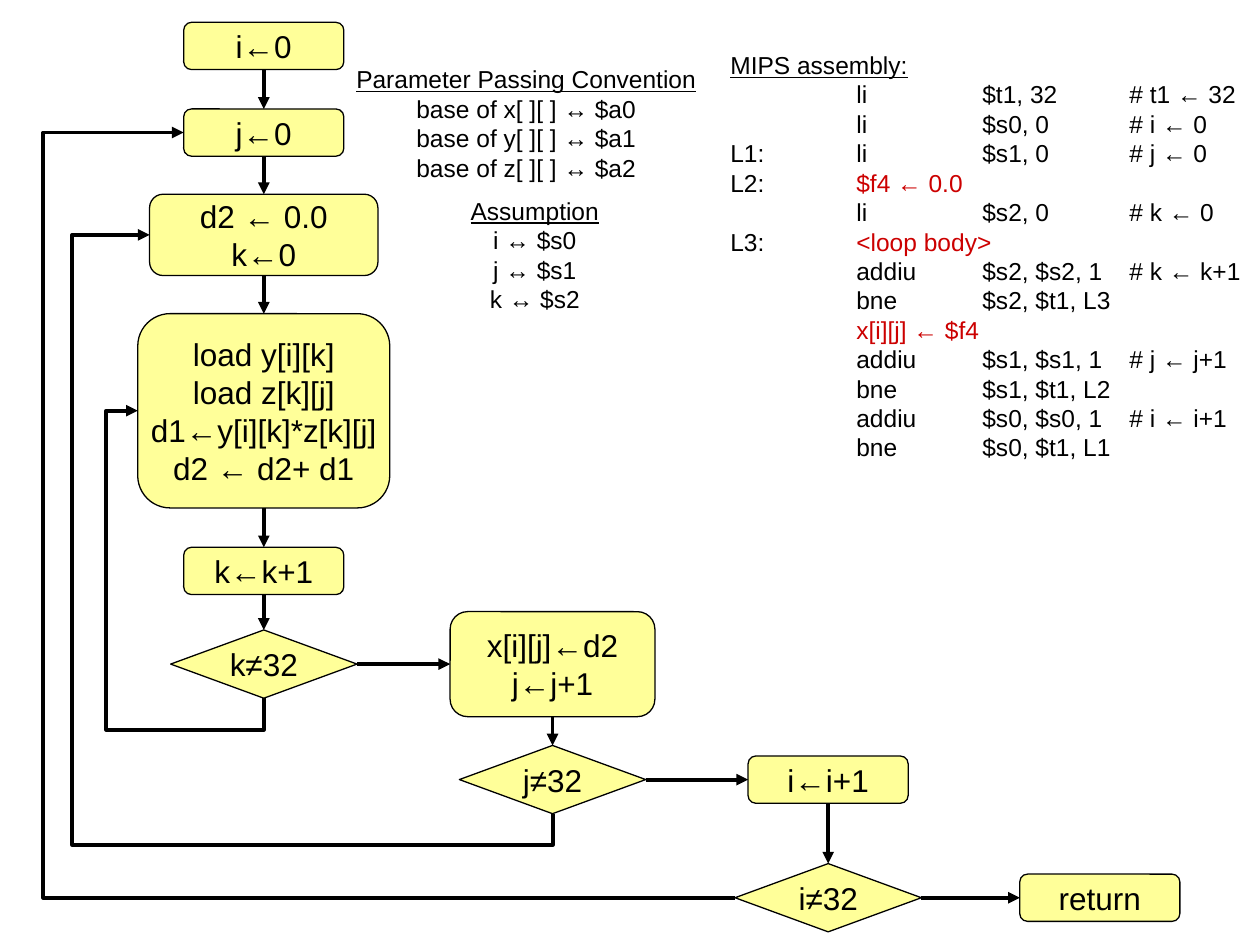
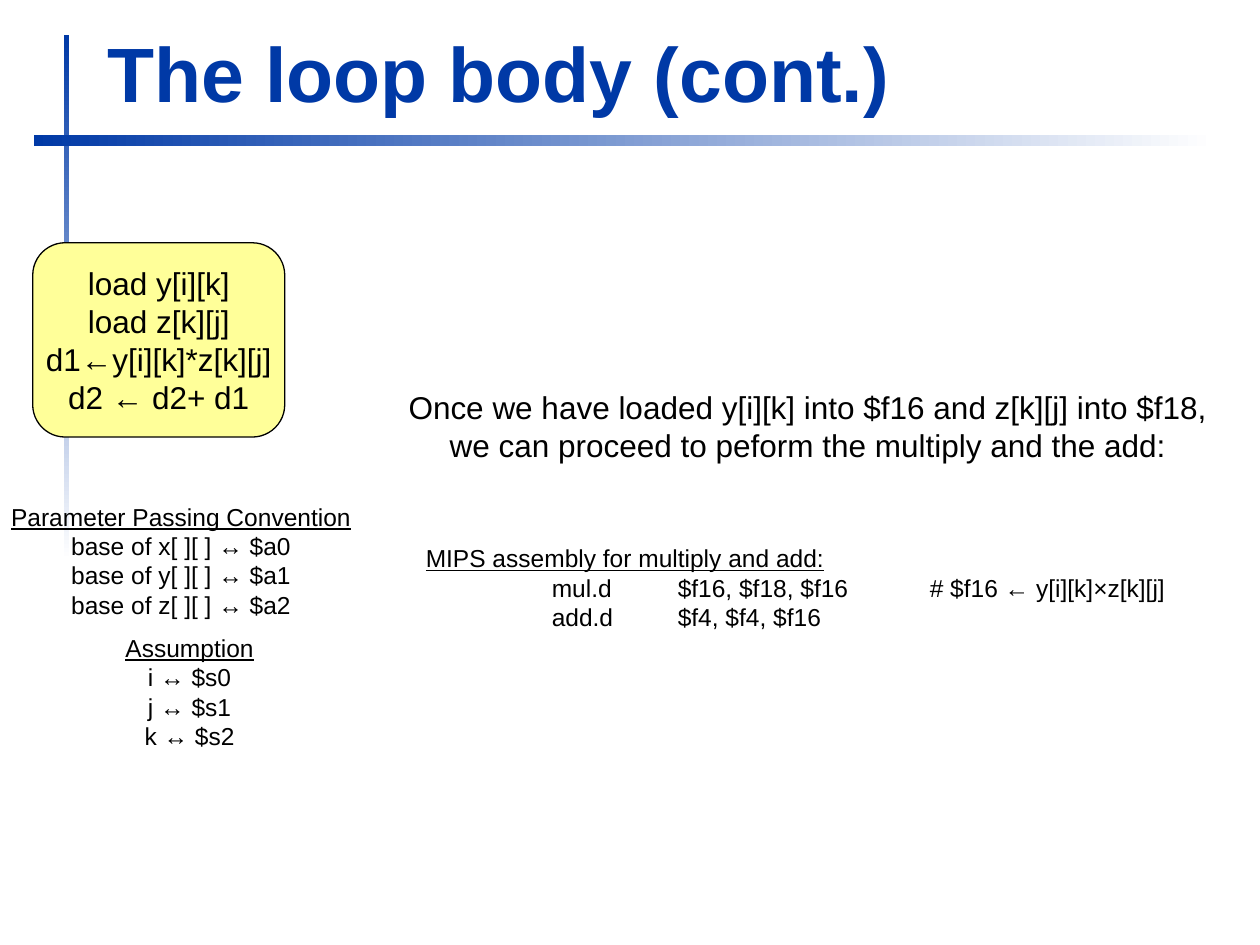
from lxml import etree
from pptx import Presentation
from pptx.dml.color import RGBColor
from pptx.enum.dml import MSO_FILL
from pptx.enum.shapes import MSO_CONNECTOR, MSO_SHAPE
from pptx.enum.text import MSO_ANCHOR, MSO_AUTO_SIZE, PP_ALIGN
from pptx.oxml.ns import qn
from pptx.util import Pt

PX = 9525  # EMU in one px, 96 px to the inch
STEP, TEST = MSO_SHAPE.ROUNDED_RECTANGLE, MSO_SHAPE.FLOWCHART_DECISION
BAR = MSO_SHAPE.RECTANGLE
STRAIGHT, ELBOW = MSO_CONNECTOR.STRAIGHT, MSO_CONNECTOR.ELBOW
LEFT, CENTER = PP_ALIGN.LEFT, PP_ALIGN.CENTER
MIDDLE, BOTTOM = MSO_ANCHOR.MIDDLE, MSO_ANCHOR.BOTTOM
NO_FIT = MSO_AUTO_SIZE.NONE
TOP_SITE, LEFT_SITE, BOTTOM_SITE, RIGHT_SITE = range(4)

FONT = "Arial"
BLACK, WHITE, RED = "000000", "FFFFFF", "CC0000"
YELLOW, BLUE = "FFFF99", "0039A6"
color = RGBColor.from_string


def add_text(slide, box, lines, size, kind=None, fill=None, heading=False, tabs=()):
    """Add a text box, or an outlined shape of the given kind; a line is a string or (text, colour) runs."""
    place = [v * PX for v in box]
    if kind is None:
        shape = slide.shapes.add_textbox(*place)
    else:
        shape = slide.shapes.add_shape(kind, *place)
        shape.shadow.inherit = False
        shape.line.color.rgb = color(BLACK)
        shape.line.width = Pt(0.75)
    if fill:
        shape.fill.solid()
        shape.fill.fore_color.rgb = color(fill)
    frame = shape.text_frame
    frame.word_wrap = bool(tabs)
    frame.auto_size = NO_FIT
    frame.vertical_anchor = MIDDLE
    for number, line in enumerate(lines):
        paragraph = frame.add_paragraph() if number else frame.paragraphs[0]
        paragraph.alignment = LEFT if tabs else CENTER
        if tabs:
            stops = etree.SubElement(paragraph._p.get_or_add_pPr(), qn("a:tabLst"))
            for stop in tabs:
                etree.SubElement(stops, qn("a:tab"), pos=str(stop * PX), algn="l")
        for text, ink in [(line, BLACK)] if isinstance(line, str) else line:
            run = paragraph.add_run()
            run.text = text
            run.font.name = FONT
            run.font.size = Pt(size)
            run.font.color.rgb = color(ink)
            run.font.underline = heading and number == 0
    return shape


def add_arrow(slide, kind, *ends):
    """Add a black connector with an arrowhead at its end."""
    arrow = slide.shapes.add_connector(kind, *[round(v * PX) for v in ends])
    arrow.line.color.rgb = color(BLACK)
    arrow.line.width = Pt(2.25)
    etree.SubElement(arrow.line._get_or_add_ln(), qn("a:tailEnd"), type="triangle")
    etree.SubElement(arrow._element.spPr, qn("a:effectLst"))
    return arrow


prs = Presentation()
prs.slide_width, prs.slide_height = 960 * PX, 720 * PX
flow = prs.slides.add_slide(prs.slide_layouts[6])
body = prs.slides.add_slide(prs.slide_layouts[5])

# Slide 2: title and the two fading rules
for box, angle in (((49, 27, 4, 400), 270), ((26, 103, 900, 8), 0)):
    rule = body.shapes.add_shape(BAR, *[v * PX for v in box])
    rule.shadow.inherit = False
    rule.line.fill.background()
    rule.fill.gradient()
    rule.fill.gradient_angle = angle
    for stop, ink in zip(rule.fill.gradient_stops, (BLUE, WHITE)):
        stop.color.rgb = color(ink)

title = body.shapes.title
title.left, title.top, title.width, title.height = [v * PX for v in (72, 15, 867, 80)]
title.text_frame.auto_size = NO_FIT
title.text_frame.vertical_anchor = BOTTOM
heading = title.text_frame.paragraphs[0]
heading.alignment = LEFT
title_run = heading.add_run()
title_run.text = "The loop body (cont.)"
title_run.font.name = FONT
title_run.font.size = Pt(44)
title_run.font.bold = True
title_run.font.color.rgb = color(BLUE)

# Both slides: register conventions
convention = ["Parameter Passing Convention"]
convention += [f"base of {array}[ ][ ] ↔ $a{n}" for n, array in enumerate("xyz")]
assumption = ["Assumption"] + [f"{index} ↔ $s{n}" for n, index in enumerate("ijk")]
for slide, left, top in ((flow, 262, 44), (body, -1, 377)):
    add_text(slide, (left, top, 278, 100), convention, 14, heading=True)
    add_text(slide, (left + 87, top + 100, 117, 100), assumption, 14, heading=True)

# Slide 1: flowchart steps and tests, placed by their centres
loop_body = ["load y[i][k]", "load z[k][j]", "d1←y[i][k]*z[k][j]", "d2 ← d2+ d1"]
COL_K, COL_J, COL_I, COL_END = 201, 421, 631, 838
SMALL, DIAMOND = (122, 36), (142, 52)
nodes = {}
for name, kind, x, y, (width, height), lines in (
    ("start i", STEP, COL_K, 35, SMALL, ["i←0"]),
    ("start j", STEP, COL_K, 101, SMALL, ["j←0"]),
    ("start k", STEP, COL_K, 179, (174, 62), ["d2 ← 0.0", "k←0"]),
    ("body", STEP, COL_K, 313, (192, 148), loop_body),
    ("next k", STEP, COL_K, 435, SMALL, ["k←k+1"]),
    ("test k", TEST, COL_K, 506, DIAMOND, ["k≠32"]),
    ("next j", STEP, COL_J, 506, (156, 80), ["x[i][j]←d2", "j←j+1"]),
    ("test j", TEST, COL_J, 594, DIAMOND, ["j≠32"]),
    ("next i", STEP, COL_I, 594, SMALL, ["i←i+1"]),
    ("test i", TEST, COL_I, 684, DIAMOND, ["i≠32"]),
    ("return", STEP, COL_END, 684, SMALL, ["return"]),
):
    box = (x - width // 2, y - height // 2, width, height)
    nodes[name] = add_text(flow, box, lines, 18, kind, YELLOW)

# Slide 1: straight arrows from each node to the next
order = list(nodes)
for source, target in zip(order, order[1:]):
    across = source.startswith("test")
    arrow = add_arrow(flow, STRAIGHT, 0, 0, 0, 0)
    arrow.begin_connect(nodes[source], RIGHT_SITE if across else BOTTOM_SITE)
    arrow.end_connect(nodes[target], LEFT_SITE if across else TOP_SITE)

# Slide 1: loops back from a test; k and j leave downwards, i leaves to the left
for source, target, lane, drop in (
    ("test k", "body", 81, 24),
    ("test j", "start k", 55, 24),
    ("test i", "start j", 33, 0),
):
    test, step = nodes[source], nodes[target]
    end_x, end_y = step.left / PX, (step.top + step.height / 2) / PX
    if drop:
        start_x, start_y = (test.left + test.width / 2) / PX, (test.top + test.height) / PX
        rise, run_back = start_y - end_y, start_x - end_x
        mid_x, mid_y = (start_x + end_x) / 2, (start_y + end_y) / 2
        # Drawn lying down, then turned a quarter to the left
        arrow = add_arrow(flow, ELBOW, mid_x - rise / 2, mid_y + run_back / 2,
                          mid_x + rise / 2, mid_y - run_back / 2)
        arrow._element.spPr.find(qn("a:xfrm")).set("rot", "16200000")
        bends = [-drop / rise, 1 + (end_x - lane) / run_back]
    else:
        start_x, start_y = test.left / PX, (test.top + test.height / 2) / PX
        arrow = add_arrow(flow, ELBOW, start_x, start_y, end_x, end_y)
        bends = [(start_x - lane) / (start_x - end_x)]
    geometry = arrow._element.spPr.find(qn("a:prstGeom"))
    geometry.set("prst", f"bentConnector{len(bends) + 2}")
    guides = geometry.find(qn("a:avLst"))
    for number, bend in enumerate(bends, 1):
        name = f"adj{number}" if len(bends) > 1 else "adj1"
        etree.SubElement(guides, qn("a:gd"), name=name, fmla=f"val {round(bend * 100000)}")

# Slide 1: assembly of the three loops
loops_code = [
    "MIPS assembly:",
    "\tli\t$t1, 32\t# t1 ← 32",
    "\tli\t$s0, 0\t# i ← 0",
    "L1:\tli\t$s1, 0\t# j ← 0",
    [("L2:\t", BLACK), ("$f4 ← 0.0", RED)],
    "\tli\t$s2, 0\t# k ← 0",
    [("L3:\t", BLACK), ("<loop body>", RED)],
    "\taddiu\t$s2, $s2, 1\t# k ← k+1",
    "\tbne\t$s2, $t1, L3",
    [("\t", BLACK), ("x[i][j] ← $f4", RED)],
    "\taddiu\t$s1, $s1, 1\t# j ← j+1",
    "\tbne\t$s1, $t1, L2",
    "\taddiu\t$s0, $s0, 1\t# i ← i+1",
    "\tbne\t$s0, $t1, L1",
]
add_text(flow, (547, 33, 413, 324), loops_code, 14, fill=WHITE, heading=True, tabs=(96, 192, 304))

# Slide 2: loop body, explanation and its assembly
add_text(body, (25, 185, 192, 148), loop_body, 18, STEP, YELLOW)
body_code = [
    "MIPS assembly for multiply and add:",
    "\tmul.d\t$f16, $f18, $f16\t# $f16 ← y[i][k]×z[k][j]",
    "\tadd.d\t$f4, $f4, $f16",
]
add_text(body, (315, 409, 602, 77), body_code, 14, fill=WHITE, heading=True, tabs=(96, 192, 384))
explanation = [
    "Once we have loaded y[i][k] into $f16 and z[k][j] into $f18,",
    "we can proceed to peform the multiply and the add:",
]
add_text(body, (302, 291, 627, 67), explanation, 18)

prs.save("out.pptx")
